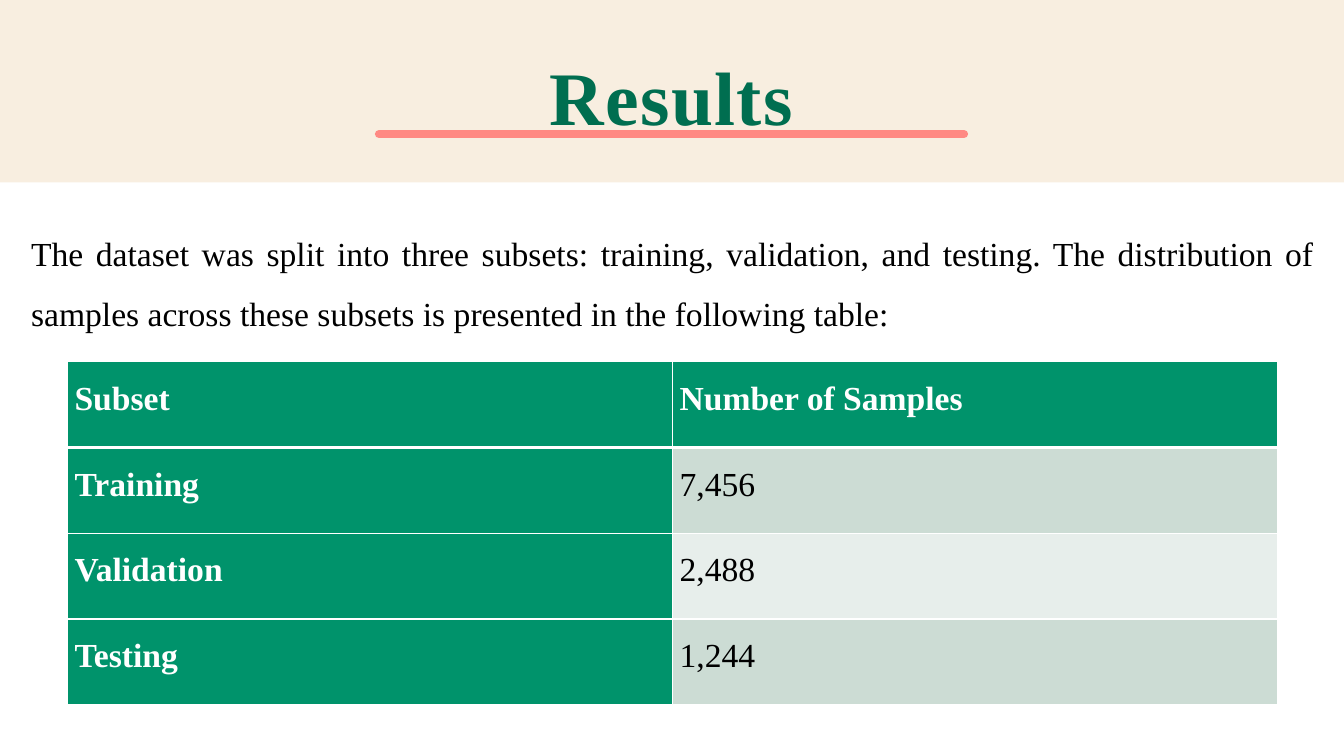
from lxml import etree
from pptx import Presentation
from pptx.dml.color import RGBColor
from pptx.enum.shapes import MSO_CONNECTOR, MSO_SHAPE
from pptx.enum.text import MSO_ANCHOR, MSO_AUTO_SIZE, PP_ALIGN
from pptx.oxml.ns import qn
from pptx.util import Inches, Pt

TITLE = "Results"
INTRO = ("The dataset was split into three subsets: training, validation, and testing. "
         "The distribution of samples across these subsets is presented in the following table:")
ROWS = [
    ("Subset", "Number of Samples"),
    ("Training", "7,456"),
    ("Validation", "2,488"),
    ("Testing", "1,244"),
]

FONT = "Times New Roman"
CREAM = RGBColor(0xF8, 0xEE, 0xE0)
CORAL = RGBColor(0xFF, 0x89, 0x83)
DARK_GREEN = RGBColor(0x00, 0x6E, 0x50)
GREEN = RGBColor(0x00, 0x93, 0x6B)
BAND_DARK = RGBColor(0xCC, 0xDC, 0xD4)
BAND_LIGHT = RGBColor(0xE7, 0xEE, 0xEB)
WHITE = RGBColor(0xFF, 0xFF, 0xFF)
BLACK = RGBColor(0x00, 0x00, 0x00)

CENTER, JUSTIFY = PP_ALIGN.CENTER, PP_ALIGN.JUSTIFY
MIDDLE, TOP = MSO_ANCHOR.MIDDLE, MSO_ANCHOR.TOP
NO_FIT = MSO_AUTO_SIZE.NONE
RECT, STRAIGHT = MSO_SHAPE.RECTANGLE, MSO_CONNECTOR.STRAIGHT
TITLE_ONLY = 5

SLIDE_W, SLIDE_H = 13.33, 7.5
TABLE_LEFT, TABLE_TOP, COL_W, ROW_H = 0.67, 3.59, 6, 0.85


def write(tf, text, size=24, color=BLACK, bold=False, align=JUSTIFY,
          line=1.5, after=0, spacing=0):
    p = tf.paragraphs[0]
    p.alignment = align
    p.line_spacing = line
    p.space_before = Pt(0)
    p.space_after = Pt(after)
    r = p.add_run()
    r.text = text
    r.font.name = FONT
    r.font.size = Pt(size)
    r.font.bold = bold
    r.font.color.rgb = color
    if spacing:
        r.font._element.set("spc", str(spacing * 100))


def set_border(cell, side, width):
    ln = etree.SubElement(cell._tc.get_or_add_tcPr(), qn(f"a:ln{side}"), w=str(Pt(width)))
    fill = etree.SubElement(ln, qn("a:solidFill"))
    etree.SubElement(fill, qn("a:srgbClr"), val=str(WHITE))


def add_banner(slide):
    banner = slide.shapes.add_shape(RECT, 0, Inches(-0.05), Inches(SLIDE_W), Inches(1.86))
    banner.shadow.inherit = False
    banner.fill.solid()
    banner.fill.fore_color.rgb = CREAM
    banner.line.fill.background()

    rule = slide.shapes.add_connector(STRAIGHT, Inches(3.76), Inches(1.33),
                                      Inches(9.56), Inches(1.33))
    rule.line.color.rgb = CORAL
    rule.line.width = Pt(6)
    rule.line._ln.set("cap", "rnd")
    etree.SubElement(rule._element.spPr, qn("a:effectLst"))


def add_title(slide):
    title = slide.shapes.title
    title.left, title.top = Inches(0.66), Inches(0.5)
    title.width, title.height = Inches(12), Inches(1.03)
    slide.shapes._spTree.append(title._element)
    tf = title.text_frame
    tf.auto_size = NO_FIT
    tf.vertical_anchor = MIDDLE
    tf.margin_left = tf.margin_right = Inches(0.13)
    tf.margin_top = tf.margin_bottom = Inches(0.07)
    write(tf, TITLE, size=54, color=DARK_GREEN, bold=True, align=CENTER,
          line=0.85, after=6, spacing=1)


def add_intro(slide):
    intro = slide.shapes.add_textbox(Inches(0.21), Inches(2.09), Inches(12.92), Inches(1.24))
    tf = intro.text_frame
    tf.word_wrap = True
    tf.vertical_anchor = MIDDLE
    write(tf, INTRO)


def add_samples_table(slide):
    n_rows, n_cols = len(ROWS), len(ROWS[0])
    frame = slide.shapes.add_table(n_rows, n_cols, Inches(TABLE_LEFT), Inches(TABLE_TOP),
                                   Inches(COL_W * n_cols), Inches(ROW_H * n_rows))
    table = frame.table
    table.first_col = True
    for row in table.rows:
        row.height = Inches(ROW_H)
    for i, values in enumerate(ROWS):
        for j, value in enumerate(values):
            cell = table.cell(i, j)
            heading = i == 0 or j == 0
            cell.margin_left = cell.margin_right = Inches(0.07)
            cell.margin_top = cell.margin_bottom = 0
            cell.vertical_anchor = TOP
            for side in "LRTB":
                under_header = (i, side) in ((0, "B"), (1, "T"))
                set_border(cell, side, 3 if under_header else 1)
            cell.fill.solid()
            band = BAND_DARK if i % 2 else BAND_LIGHT
            cell.fill.fore_color.rgb = GREEN if heading else band
            write(cell.text_frame, value, color=WHITE if heading else BLACK,
                  bold=heading, after=8)


def main():
    prs = Presentation()
    prs.slide_width, prs.slide_height = Inches(SLIDE_W), Inches(SLIDE_H)
    slide = prs.slides.add_slide(prs.slide_layouts[TITLE_ONLY])
    add_banner(slide)
    add_title(slide)
    add_intro(slide)
    add_samples_table(slide)
    prs.save("out.pptx")


if __name__ == "__main__":
    main()
